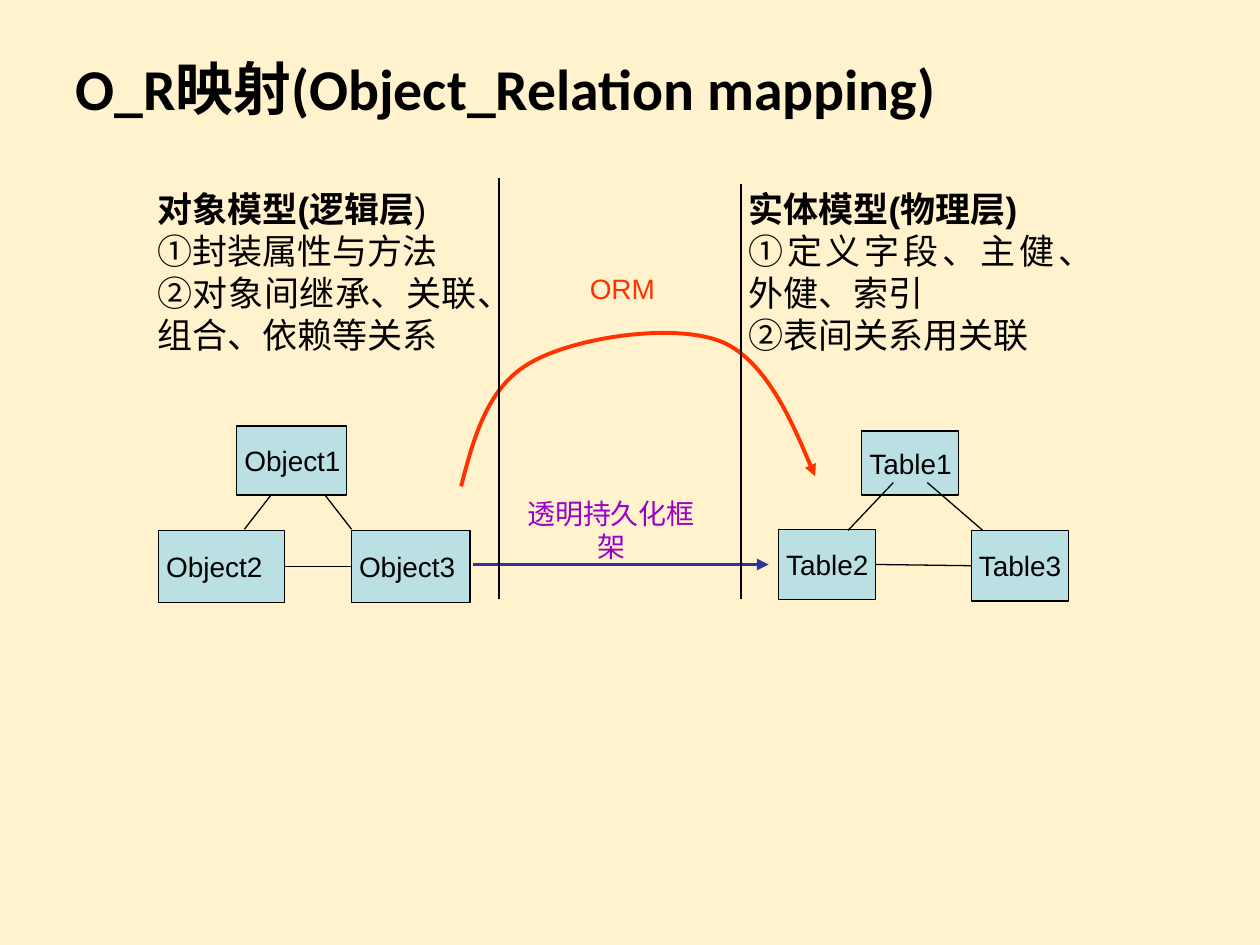
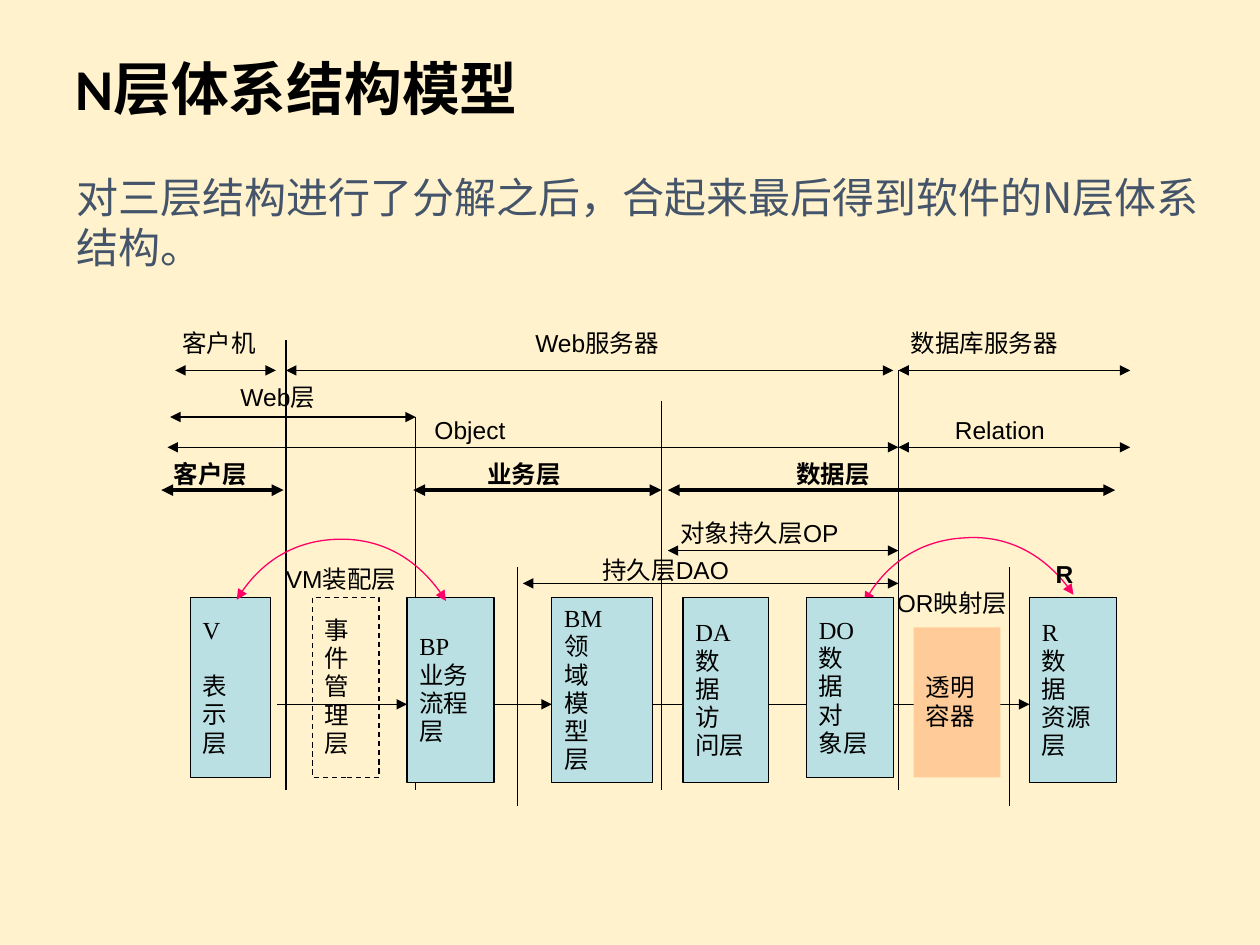
from pptx import Presentation
from pptx.dml.color import RGBColor
from pptx.enum.dml import MSO_LINE_DASH_STYLE as Dash
from pptx.enum.shapes import MSO_CONNECTOR as Connector, MSO_SHAPE as Shape
from pptx.enum.text import MSO_ANCHOR as Anchor, PP_ALIGN as Align
from pptx.oxml.ns import qn
from pptx.util import Inches, Pt
from lxml import etree

CREAM = RGBColor(0xFF, 0xF2, 0xCC)
BLACK = RGBColor(0x00, 0x00, 0x00)
SLATE = RGBColor(0x44, 0x54, 0x6A)
AQUA = RGBColor(0xBB, 0xE0, 0xE3)
PEACH = RGBColor(0xFF, 0xCC, 0x99)
ORANGE = RGBColor(0xFF, 0x33, 0x00)
PURPLE = RGBColor(0x99, 0x00, 0xCC)
INDIGO = RGBColor(0x33, 0x33, 0x99)
PINK = RGBColor(0xFF, 0x00, 0x66)

HAN = "Noto Sans CJK SC"
SERIF = "Times New Roman"
TIGHT = (0.06, 0.03, 0.06, 0.03)
NORMAL = (0.1, 0.05, 0.1, 0.05)
FLUSH_TOP = (0.1, 0, 0.1, 0.05)
TRIANGLE = {"type": "triangle", "w": "med", "len": "med"}


class Deck:
    """Holds the shared style and the current slide."""

    def __init__(self):
        self.presentation = Presentation()
        self.presentation.slide_width = Inches(10)
        self.presentation.slide_height = Inches(7.5)
        self.slide = None

    def new_slide(self, title):
        self.slide = self.presentation.slides.add_slide(self.presentation.slide_layouts[6])
        fill = self.slide.background.fill
        fill.solid()
        fill.fore_color.rgb = CREAM
        self.text((0.5, 0.21, 9, 1.03), [title], size=33, font="Calibri", bold=True,
                  anchor=Anchor.MIDDLE, spacing=0.9)

    def add_lines(self, shape, lines, size=14, font="Arial", color=BLACK, bold=False, align=Align.LEFT,
                  anchor=Anchor.TOP, insets=NORMAL, wrap=True, spacing=None):
        """Fill a shape with paragraphs; a line is a string or a list of (text, bold) runs."""
        frame = shape.text_frame
        frame.word_wrap = wrap
        frame.vertical_anchor = anchor
        (frame.margin_left, frame.margin_top,
         frame.margin_right, frame.margin_bottom) = map(Inches, insets)
        for index, line in enumerate(lines):
            paragraph = frame.add_paragraph() if index else frame.paragraphs[0]
            paragraph.alignment = align
            paragraph.line_spacing = spacing
            for words, is_bold in [(line, bold)] if isinstance(line, str) else line:
                run = paragraph.add_run()
                run.text = words
                run.font.size = Pt(size)
                run.font.name = font
                run.font.bold = is_bold
                run.font.color.rgb = color
                east_asian = etree.SubElement(run.font._element, qn("a:ea"))
                east_asian.set("typeface", HAN)
        return frame

    def text(self, box, lines, **style):
        return self.add_lines(self.slide.shapes.add_textbox(*map(Inches, box)), lines, **style)

    def box(self, box, lines, fill=AQUA, line=BLACK, dashed=False, **style):
        shape = self.slide.shapes.add_shape(Shape.RECTANGLE, *map(Inches, box))
        shape.shadow.inherit = False
        if fill is None:
            shape.fill.background()
        else:
            shape.fill.solid()
            shape.fill.fore_color.rgb = fill
        if line is None:
            shape.line.fill.background()
        else:
            self.stroke(shape.line, line, 0.75)
        if dashed:
            shape.line.dash_style = Dash.DASH
        self.add_lines(shape, lines, anchor=Anchor.MIDDLE, **style)
        return shape

    def stroke(self, line, color, width, ends=()):
        line.color.rgb = color
        line.width = Pt(width)
        for end in ends:
            etree.SubElement(line._get_or_add_ln(), qn(f"a:{end}End"), TRIANGLE)

    def line(self, x1, y1, x2, y2, color=BLACK, width=0.75, ends=(), begin=None, end=None):
        connector = self.slide.shapes.add_connector(Connector.STRAIGHT, *map(Inches, (x1, y1, x2, y2)))
        self.stroke(connector.line, color, width, ends)
        etree.SubElement(connector._element.spPr, qn("a:effectLst"))
        if begin is not None:
            connector.begin_connect(begin, 3)
        if end is not None:
            connector.end_connect(end, 1)

    def curve(self, points, color, width, ends):
        """Draw a Bezier curve: a start, then three points for each segment."""
        start, *rest = [(Inches(x), Inches(y)) for x, y in points]
        builder = self.slide.shapes.build_freeform(*start)
        builder.add_line_segments(rest, close=False)
        shape = builder.convert_to_shape()
        shape.shadow.inherit = False
        shape.fill.background()
        self.stroke(shape.line, color, width, ends)
        segments = list(shape._element.iter(qn("a:lnTo")))
        for first in range(0, len(segments), 3):
            bezier = etree.SubElement(segments[0].getparent(), qn("a:cubicBezTo"))
            for segment in segments[first:first + 3]:
                bezier.append(segment[0])
        for segment in segments:
            segment.getparent().remove(segment)


def mapping_slide(deck):
    deck.new_slide("O_R映射(Object_Relation mapping)")

    # Object and table boxes
    nodes = {}
    for name, *place in [
        ("Object1", 1.88, 3.38, 0.87, 0.55),
        ("Object2", 1.26, 4.21, 1, 0.57),
        ("Object3", 2.79, 4.21, 0.94, 0.57),
        ("Table1", 6.84, 3.42, 0.77, 0.51),
        ("Table2", 6.18, 4.2, 0.77, 0.56),
        ("Table3", 7.71, 4.21, 0.77, 0.56),
    ]:
        nodes[name] = deck.box(place, [name], size=16, insets=TIGHT, wrap=place[2] > 0.9)

    # Links within each model
    for link in [(2.15, 3.93, 1.94, 4.2), (2.58, 3.93, 2.79, 4.2),
                 (7.09, 3.83, 6.73, 4.21), (7.36, 3.83, 7.8, 4.21)]:
        deck.line(*link)
    deck.line(2.26, 4.49, 2.79, 4.49, begin=nodes["Object2"], end=nodes["Object3"])
    deck.line(6.95, 4.48, 7.71, 4.48, begin=nodes["Table2"], end=nodes["Table3"])

    # Model descriptions
    for box, heading, points in [
        ((1.19, 1.46, 2.66, 1.41), [("对象模型(逻辑层", True), (")", False)],
         ["①封装属性与方法", "②对象间继承、关联、组合、依赖等关系"]),
        ((5.88, 1.46, 2.86, 1.41), [("实体模型(物理层)", True)],
         ["①定义字段、主健、外健、索引", "②表间关系用关联"]),
    ]:
        frame = deck.text(box, [heading, *points], size=20, align=Align.JUSTIFY, insets=TIGHT)
        frame.paragraphs[0].alignment = Align.LEFT

    # Mapping from objects to tables
    deck.curve([(3.66, 3.86), (3.76, 3.47), (3.87, 3.07), (4.21, 2.88), (4.55, 2.68),
                (5.34, 2.56), (5.72, 2.71), (6.1, 2.86), (6.38, 3.58), (6.47, 3.78)],
               ORANGE, 2.25, ["tail"])
    label = dict(size=16, anchor=Anchor.MIDDLE, align=Align.CENTER, insets=TIGHT)
    deck.text((4.39, 2.01, 1.1, 0.55), ["ORM"], color=ORANGE, **label)
    deck.text((4.07, 3.93, 1.56, 0.55), ["透明持久化框架"], color=PURPLE, wrap=False, **label)
    deck.line(3.75, 4.48, 6.1, 4.48, INDIGO, 2.25, ["tail"])

    # Dividers
    deck.line(5.88, 1.46, 5.88, 4.75)
    deck.line(3.96, 1.41, 3.96, 4.75)


def layers_slide(deck):
    deck.new_slide("N层体系结构模型")
    deck.text((0.51, 1.31, 9.13, 0.91), ["对三层结构进行了分解之后，合起来最后得到软件的N层体系结构。"],
              size=24, font=HAN, color=SLATE)

    # Dividers
    for x, top, bottom in [(2.27, 2.7, 6.27), (3.3, 3.31, 6.27), (4.11, 4.5, 6.4),
                           (5.25, 3.18, 6.27), (7.13, 2.94, 6.27), (8.01, 4.5, 6.4)]:
        deck.line(x, top, x, bottom)

    # Spans of the tiers
    for left, right, y, width in [
        (1.39, 2.19, 2.94, 0.75), (2.27, 7.09, 2.94, 0.75), (7.13, 8.97, 2.94, 0.75),
        (1.35, 3.3, 3.31, 0.75),
        (1.33, 7.13, 3.55, 0.75), (7.13, 8.97, 3.55, 0.75),
        (1.28, 2.25, 3.89, 2.25), (3.28, 5.25, 3.89, 2.25), (5.3, 8.85, 3.89, 2.25),
        (5.3, 7.13, 4.37, 0.75), (4.15, 7.13, 4.63, 0.75),
    ]:
        deck.line(left, y, right, y, width=width, ends=["head", "tail"])

    # Flow behind the layers
    for left, right in [(2.2, 3.23), (3.92, 4.38), (5.18, 8.17)]:
        deck.line(left, 5.59, right, 5.59, ends=["tail"])
    deck.curve([(8.52, 4.72), (8.32, 4.42), (7.99, 4.24), (7.64, 4.27),
                (7.32, 4.29), (7.02, 4.48), (6.86, 4.78)], PINK, 0.75, ["head", "tail"])

    # Layers
    top = 4.74
    layer = dict(font=SERIF, spacing=0.96)
    for left, width, height, lines in [
        (1.51, 0.64, 1.43, ["V", "表", "示", "层"]),
        (3.23, 0.69, 1.47, ["BP", "业务流程层"]),
        (4.38, 0.8, 1.47, ["BM", "领", "域", "模", "型", "层"]),
        (5.42, 0.68, 1.47, ["DA", "数", "据", "访", "问层"]),
        (6.4, 0.69, 1.43, ["DO", "数", "据", "对", "象层"]),
        (8.17, 0.69, 1.47, ["R", "数", "据", "资源层"]),
    ]:
        shape = deck.box((left, top, width, height), lines, **layer)
        if lines[0] == "V":
            shape.text_frame.paragraphs[1].space_before = Pt(16)
    deck.box((2.48, top, 0.53, 1.43), list("事件管理层"), fill=None, dashed=True,
             insets=(0.1, 0.05, 0, 0.05), align=Align.JUSTIFY, **layer)
    deck.box((7.25, 4.98, 0.69, 1.19), ["透明容器"], fill=PEACH, line=None, **layer)
    deck.curve([(3.54, 4.77), (3.35, 4.46), (3.03, 4.27), (2.68, 4.28),
                (2.35, 4.29), (2.05, 4.47), (1.88, 4.76)], PINK, 0.75, ["head", "tail"])

    # Labels
    label = dict(align=Align.JUSTIFY, spacing=0.96)
    for words, left, y, width in [
        ("客户机", 1.35, 2.57, 1.06), ("Web服务器", 4.15, 2.57, 1.6), ("数据库服务器", 7.13, 2.57, 1.84),
        ("持久层DAO", 4.68, 4.37, 1.71), ("VM装配层", 2.17, 4.44, 1.2), ("OR映射层", 7.02, 4.63, 1.2),
    ]:
        deck.text((left, y, width, 0.37), [words], **label)
    for words, left, y, width in [
        ("Web层", 1.81, 3.05, 1.03), ("Object", 3.35, 3.31, 0.93),
        ("Relation", 7.48, 3.31, 1.11), ("对象持久层OP", 5.3, 4.13, 1.72),
    ]:
        deck.text((left, y, width, 0.37), [words], insets=FLUSH_TOP, **label)
    for words, left, width in [("客户层", 1.28, 1.03), ("业务层", 3.77, 1.07), ("数据层", 6.22, 1.15)]:
        deck.text((left, 3.66, width, 0.37), [words], font=HAN, bold=True, insets=FLUSH_TOP, **label)
    deck.text((8.28, 4.4, 0.47, 0.48), ["R"], bold=True, **label)


def main():
    deck = Deck()
    mapping_slide(deck)
    layers_slide(deck)
    deck.presentation.save("out.pptx")


if __name__ == "__main__":
    main()
